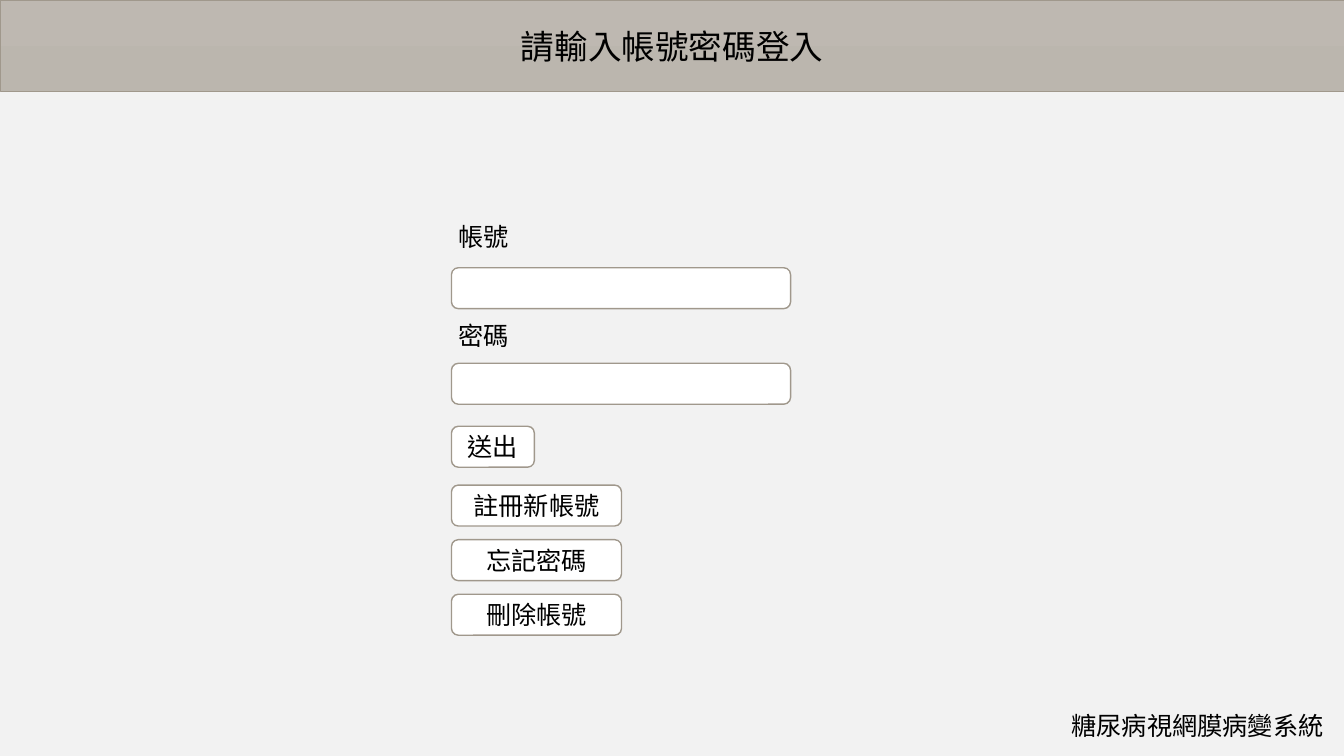
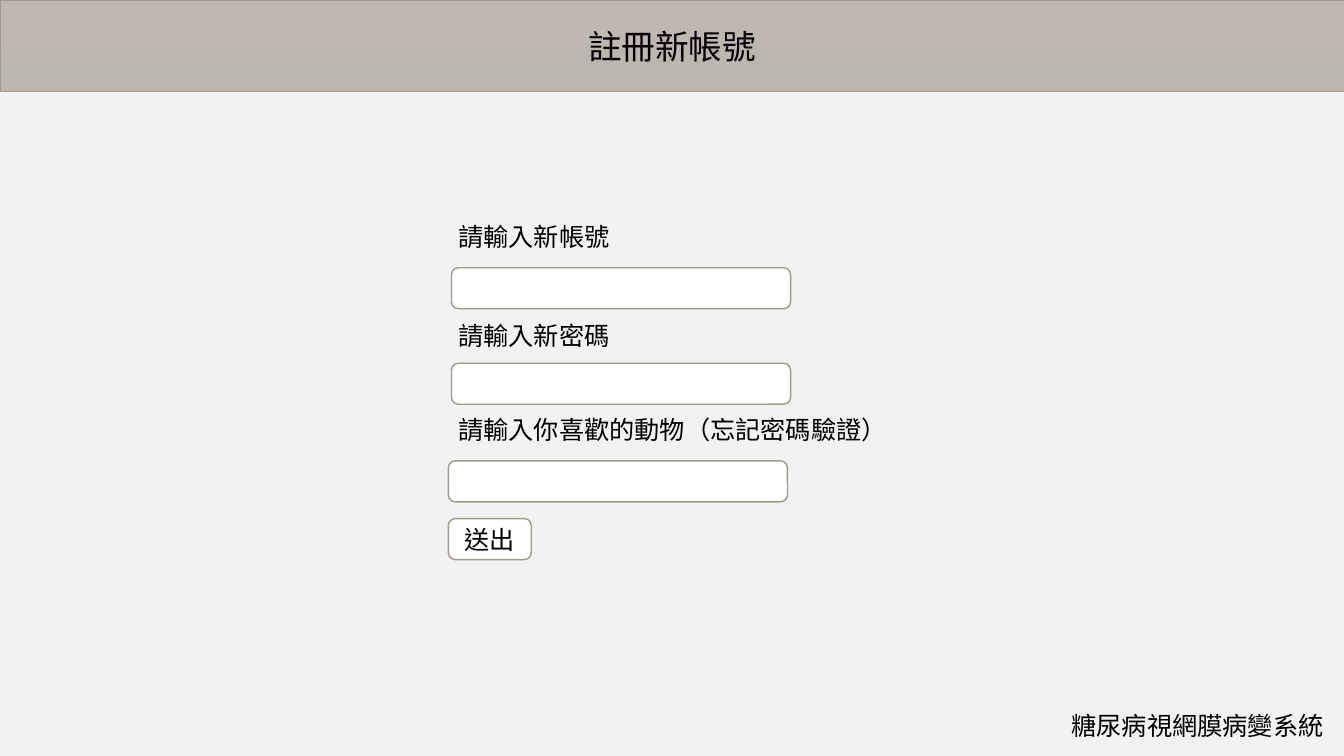
from dataclasses import dataclass

from pptx import Presentation
from pptx.dml.color import RGBColor as RGB
from pptx.enum.lang import MSO_LANGUAGE_ID as LANG
from pptx.enum.shapes import MSO_SHAPE as SHAPE
from pptx.enum.text import MSO_ANCHOR as ANCHOR, MSO_AUTO_SIZE as FIT, PP_ALIGN as ALIGN
from pptx.util import Emu, Pt

PX = 9525  # EMU per px, 96 px to the inch
WIDTH, HEIGHT = 1280, 720


def px(n):
    return Emu(n * PX)


@dataclass(frozen=True)
class Theme:
    font: str = "Calibri"
    title_size: int = 24
    body_size: int = 18
    text: RGB = RGB.from_string("000000")
    page: RGB = RGB.from_string("F2F2F2")
    box: RGB = RGB.from_string("FFFFFF")
    line: RGB = RGB.from_string("A0988C")
    band_top: RGB = RGB.from_string("BEB8B1")
    band_bottom: RGB = RGB.from_string("BBB6AE")


class FormDeck:
    BAND_H = 87
    LABEL_X, LABEL_H = 427, 38
    FIELD_X, FIELD_W, BOX_H = 430, 323, 39
    FOOTER = "糖尿病視網膜病變系統"
    FOOTER_X, FOOTER_Y = 1011, 672

    def __init__(self, theme):
        self.theme = theme
        self.prs = Presentation()
        self.prs.slide_width, self.prs.slide_height = px(WIDTH), px(HEIGHT)
        self.slide = None

    def page(self, title):
        """Start a slide with its background, title band and footer."""
        t = self.theme
        self.slide = self.prs.slides.add_slide(self.prs.slide_layouts[6])
        bg = self.slide.background.fill
        bg.solid()
        bg.fore_color.rgb = t.page
        band = self.shape(SHAPE.RECTANGLE, 0, 0, WIDTH, self.BAND_H, 0.5)
        band.fill.gradient()
        band.fill.gradient_angle = 270
        for stop, color in zip(band.fill.gradient_stops, (t.band_top, t.band_bottom)):
            stop.color.rgb = color
        self.set_text(band, title, t.title_size, ALIGN.CENTER)
        self.label(self.FOOTER, self.FOOTER_Y, self.FOOTER_X, WIDTH - self.FOOTER_X)

    def shape(self, kind, x, y, w, h, line_width):
        sp = self.slide.shapes.add_shape(kind, px(x), px(y), px(w), px(h))
        sp.shadow.inherit = False
        sp.line.color.rgb = self.theme.line
        sp.line.width = Pt(line_width)
        return sp

    def set_text(self, sp, text, size, align):
        tf = sp.text_frame
        tf.text = text
        tf.word_wrap = True
        p = tf.paragraphs[0]
        p.alignment = align
        font = p.runs[0].font
        font.name = self.theme.font
        font.size = Pt(size)
        font.color.rgb = self.theme.text
        font.language_id = LANG.TRADITIONAL_CHINESE
        return tf

    def label(self, text, y, x=LABEL_X, w=303):
        sp = self.slide.shapes.add_textbox(px(x), px(y), px(w), px(self.LABEL_H))
        tf = self.set_text(sp, text, self.theme.body_size, ALIGN.LEFT)
        tf.auto_size = FIT.SHAPE_TO_FIT_TEXT

    def field(self, y, x=FIELD_X, w=FIELD_W):
        sp = self.shape(SHAPE.ROUNDED_RECTANGLE, x, y, w, self.BOX_H, 1)
        sp.fill.solid()
        sp.fill.fore_color.rgb = self.theme.box
        return sp

    def button(self, text, y, x=FIELD_X, w=162):
        sp = self.field(y, x, w)
        tf = self.set_text(sp, text, self.theme.body_size, ALIGN.CENTER)
        tf.vertical_anchor = ANCHOR.MIDDLE

    def credentials(self, account, password):
        """The account and password rows."""
        for text, label_y, field_y in ((account, 206, 255), (password, 300, 346)):
            self.label(text, label_y)
            self.field(field_y)

    def submit(self, y, x=FIELD_X):
        self.button("送出", y, x, 79)


def main():
    deck = FormDeck(Theme())

    # Login
    deck.page("請輸入帳號密碼登入")
    deck.credentials("帳號", "密碼")
    deck.submit(406)
    for i, text in enumerate(("註冊新帳號", "忘記密碼", "刪除帳號")):
        deck.button(text, 462 + i * 52)

    # Registration
    deck.page("註冊新帳號")
    deck.credentials("請輸入新帳號", "請輸入新密碼")
    deck.label("請輸入你喜歡的動物（忘記密碼驗證）", 390, w=437)
    deck.field(439, deck.LABEL_X)
    deck.submit(494, deck.LABEL_X)

    deck.prs.save("out.pptx")


if __name__ == "__main__":
    main()
